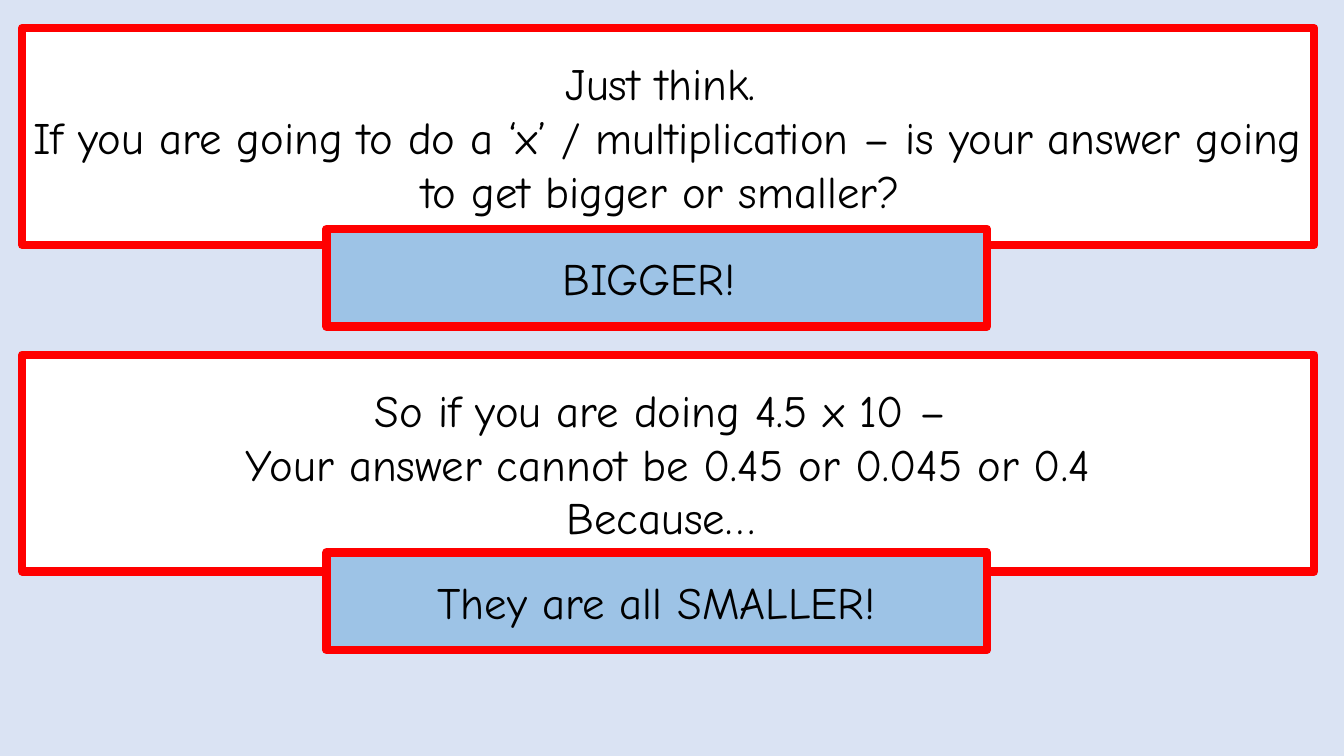
"""Build a slide on whether multiplying makes an answer bigger or smaller."""
from dataclasses import dataclass

from pptx import Presentation
from pptx.dml.color import RGBColor
from pptx.enum import shapes, text
from pptx.util import Cm, Pt


@dataclass(frozen=True)
class Theme:
    background: str = "DAE3F3"
    question: str = "FFFFFF"
    answer: str = "9DC3E6"
    border: str = "FF0000"
    ink: str = "000000"
    font: str = "Comic Neue"
    size: int = 32
    border_width: int = 6


theme = Theme()
question_box = (0.56, 32.56, 5.46, theme.question)
answer_box = (8.23, 16.64, 2.46, theme.answer)
steps = [
    (question_box, 0.71, [
        "Just think. ",
        "If you are going to do a ‘x’ / multiplication – is your answer going to get bigger or smaller? ",
    ]),
    (answer_box, 5.77, ["BIGGER! "]),
    (question_box, 8.94, [
        "So if you are doing 4.5 x 10 – ",
        "Your answer cannot be 0.45 or 0.045 or 0.4",
        "Because… ",
    ]),
    (answer_box, 13.92, ["They are all SMALLER!"]),
]

deck = Presentation()
deck.slide_width, deck.slide_height = Cm(33.87), Cm(19.05)
slide = deck.slides.add_slide(deck.slide_layouts[6])
slide.background.fill.solid()
slide.background.fill.fore_color.rgb = RGBColor.from_string(theme.background)

for (left, width, height, fill), top, lines in steps:
    step = slide.shapes.add_shape(
        shapes.MSO_SHAPE.RECTANGLE, Cm(left), Cm(top), Cm(width), Cm(height))
    step.shadow.inherit = False
    step.fill.solid()
    step.fill.fore_color.rgb = RGBColor.from_string(fill)
    step.line.color.rgb = RGBColor.from_string(theme.border)
    step.line.width = Pt(theme.border_width)
    step.text_frame.text = "\n".join(lines)
    step.text_frame.word_wrap = True
    step.text_frame.vertical_anchor = text.MSO_ANCHOR.MIDDLE
    for paragraph in step.text_frame.paragraphs:
        paragraph.alignment = text.PP_ALIGN.CENTER
        for run in paragraph.runs:
            run.font.name = theme.font
            run.font.size = Pt(theme.size)
            run.font.color.rgb = RGBColor.from_string(theme.ink)

deck.save("out.pptx")
